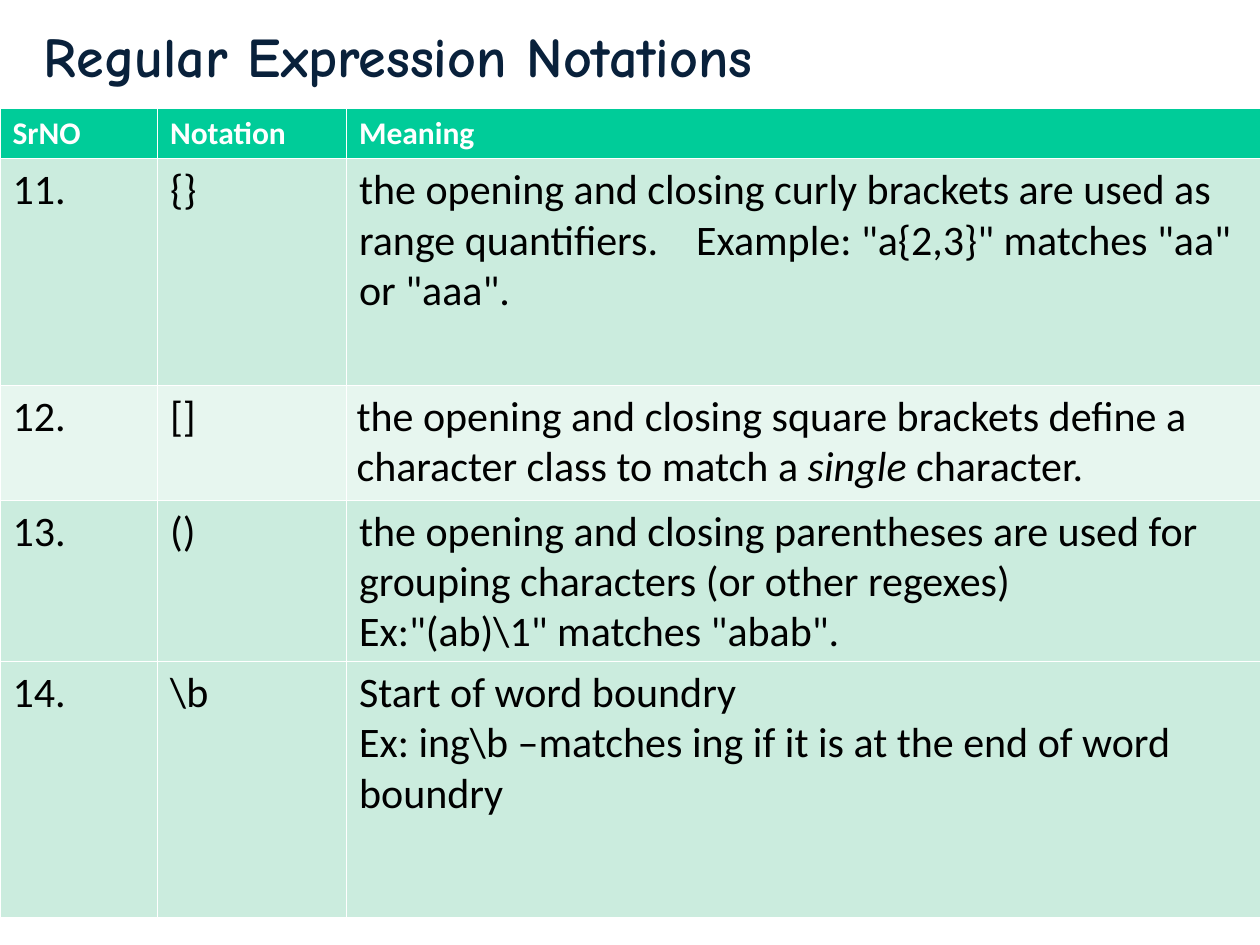
from dataclasses import dataclass

from lxml.etree import SubElement
from pptx import Presentation
from pptx.dml.color import RGBColor as Rgb
from pptx.enum.text import MSO_AUTO_SIZE as AutoSize
from pptx.oxml.ns import qn
from pptx.util import Inches, Pt


@dataclass(frozen=True)
class Theme:
    title_font: str = "Comic Neue"
    table_font: str = "Calibri"
    title_size: int = 32
    header_size: int = 18
    body_size: int = 24
    navy: str = "09213B"
    white: str = "FFFFFF"
    black: str = "000000"
    green: str = "00CC99"
    mint: str = "CBECDE"
    pale: str = "E7F6EF"
    thin_rule: float = 0.23
    header_rule: float = 0.75
    line_spacing: float = 0.98


@dataclass(frozen=True)
class Span:
    text: str
    italic: bool = False


@dataclass(frozen=True)
class Notation:
    number: str
    symbol: str
    meaning: tuple[tuple[Span, ...], ...]
    height: float
    fill: str
    side_margin: float = 0.1


THEME = Theme()
COLUMN_WIDTHS = (1.25, 1.5, 7.25)
HEADINGS = ("SrNO", "Notation", "Meaning")
HEADER_HEIGHT = 0.4
TABLE_TOP = 0.86

NOTATIONS = (
    Notation("11.", "{}", (
        (Span('the opening and closing curly brackets are used as range quantifiers.    '
              'Example: "a{2,3}" matches "aa" or "aaa".'),),
    ), 1.8, THEME.mint),
    Notation("12.", "[]", (
        (Span("the opening and closing square brackets define a character class to match a "),
         Span("single", italic=True),
         Span(" character.")),
    ), 0.91, THEME.pale, side_margin=0.08),
    Notation("13.", "()", (
        (Span("the opening and closing parentheses are used for grouping characters "
              "(or other regexes)"),),
        (Span(r'Ex:"(ab)\1" matches "abab".'),),
    ), 1.28, THEME.mint),
    Notation("14.", r"\b", (
        (Span("Start of word boundry"),),
        (Span(r"Ex: ing\b –matches ing if it is at the end of word boundry"),),
    ), 2.03, THEME.mint),
)


def apply_format(target, values: dict) -> None:
    for name, value in values.items():
        setattr(target, name, value)


def write_spans(paragraph, spans: tuple[Span, ...], font: dict, color: str) -> None:
    for span in spans:
        run = paragraph.add_run()
        run.text = span.text
        apply_format(run.font, font | {"italic": span.italic})
        run.font.color.rgb = Rgb.from_string(color)


def draw_borders(cell, top: float, bottom: float) -> None:
    properties = cell._tc.get_or_add_tcPr()
    widths = {"a:lnL": THEME.thin_rule, "a:lnR": THEME.thin_rule,
              "a:lnT": top, "a:lnB": bottom}
    for side, width in widths.items():
        line = SubElement(properties, qn(side), w=str(Pt(width)))
        SubElement(SubElement(line, qn("a:solidFill")), qn("a:srgbClr"), val=THEME.white)


def fill_cell(cell, paragraphs: tuple[tuple[Span, ...], ...], font: dict, color: str,
              fill: str, side_margin: float = 0.1, top: float = THEME.thin_rule,
              bottom: float = THEME.thin_rule) -> None:
    draw_borders(cell, top, bottom)
    cell.fill.solid()
    cell.fill.fore_color.rgb = Rgb.from_string(fill)
    apply_format(cell, {
        "margin_left": Inches(side_margin), "margin_right": Inches(side_margin),
        "margin_top": Inches(0.05), "margin_bottom": Inches(0.05),
    })
    frame = cell.text_frame
    for index, spans in enumerate(paragraphs):
        paragraph = frame.add_paragraph() if index else frame.paragraphs[0]
        paragraph.line_spacing = THEME.line_spacing
        write_spans(paragraph, spans, font, color)


def draw_title(slide) -> None:
    title = slide.shapes.add_textbox(Inches(0.25), Inches(0.12), Inches(8.25), Inches(0.64))
    apply_format(title.text_frame, {"word_wrap": True,
                                    "auto_size": AutoSize.SHAPE_TO_FIT_TEXT})
    font = {"name": THEME.title_font, "size": Pt(THEME.title_size), "bold": True}
    write_spans(title.text_frame.paragraphs[0], (Span("Regular Expression Notations"),),
                font, THEME.navy)


def draw_notations(slide) -> None:
    heights = (HEADER_HEIGHT, *(notation.height for notation in NOTATIONS))
    table = slide.shapes.add_table(
        len(heights), len(COLUMN_WIDTHS), Inches(0), Inches(TABLE_TOP),
        Inches(sum(COLUMN_WIDTHS)), Inches(sum(heights))).table
    for column, width in zip(table.columns, COLUMN_WIDTHS):
        column.width = Inches(width)
    for row, height in zip(table.rows, heights):
        row.height = Inches(height)

    header_font = {"name": THEME.table_font, "size": Pt(THEME.header_size), "bold": True}
    body_font = {"name": THEME.table_font, "size": Pt(THEME.body_size), "bold": False}
    for column, heading in enumerate(HEADINGS):
        fill_cell(table.cell(0, column), ((Span(heading),),), header_font,
                  THEME.white, THEME.green, bottom=THEME.header_rule)
    for row, notation in enumerate(NOTATIONS, start=1):
        top = THEME.header_rule if row == 1 else THEME.thin_rule
        for column, label in enumerate((notation.number, notation.symbol)):
            fill_cell(table.cell(row, column), ((Span(label),),), body_font,
                      THEME.black, notation.fill, top=top)
        fill_cell(table.cell(row, 2), notation.meaning, body_font, THEME.black,
                  notation.fill, notation.side_margin, top)


def main() -> None:
    deck = Presentation()
    apply_format(deck, {"slide_width": Inches(10), "slide_height": Inches(7.5)})
    slide = deck.slides.add_slide(deck.slide_layouts[6])
    draw_title(slide)
    draw_notations(slide)
    deck.save("out.pptx")


if __name__ == "__main__":
    main()
